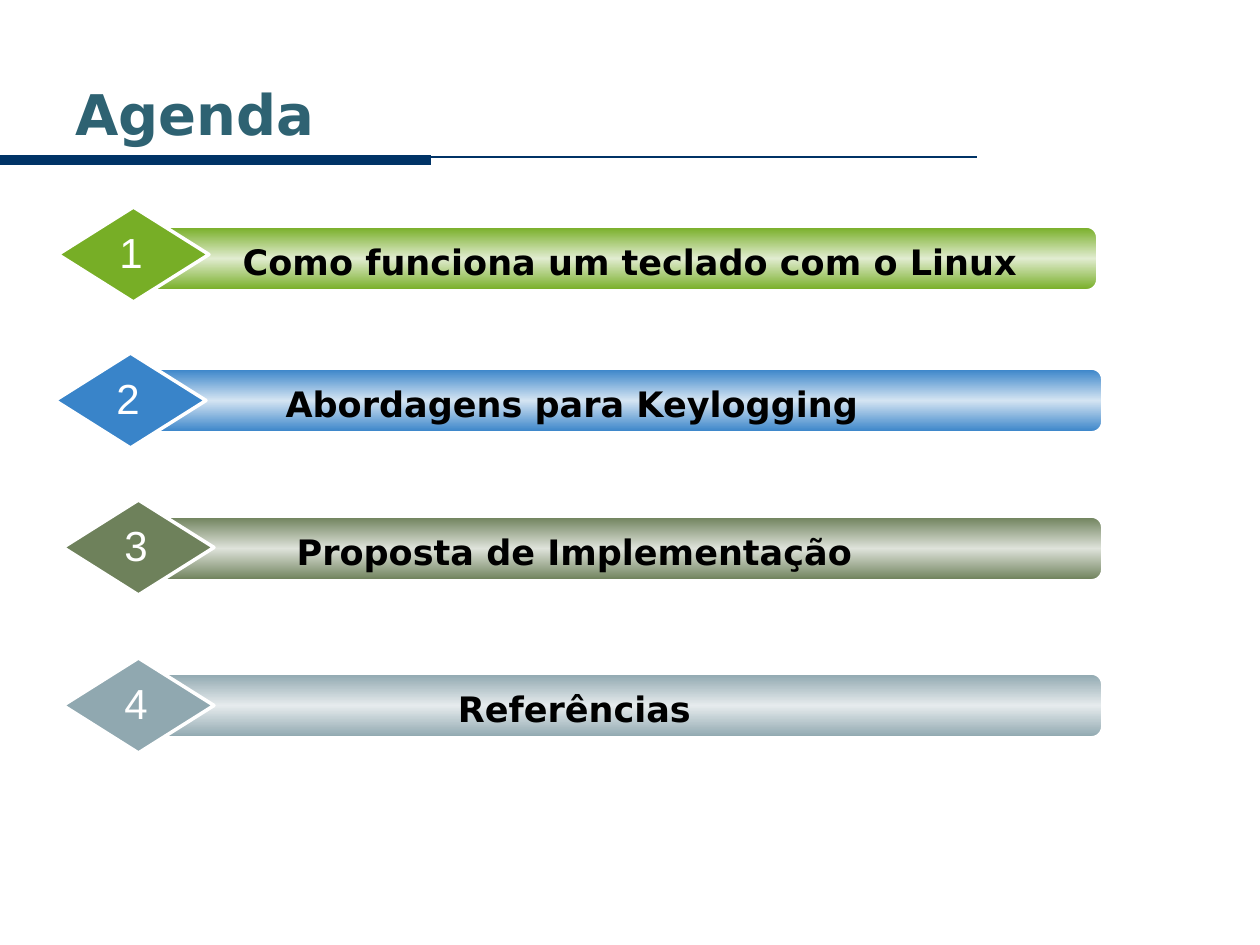
from copy import deepcopy
from pptx import Presentation
from pptx.dml.color import RGBColor
from pptx.enum.shapes import MSO_CONNECTOR, MSO_SHAPE
from pptx.enum.text import MSO_ANCHOR, PP_ALIGN
from pptx.oxml.ns import qn
from pptx.util import Pt
from lxml.etree import SubElement

SCALE = 914400 / 126
COLORS = {"title": "2E6272", "rule": "003366", "white": "FFFFFF", "black": "000000"}
TITLE = "Agenda"
RULES = [(977, 157, 0, 1.5), (0, 160, 431, 6)]
ITEMS = [
    {"text": "Como funciona um teclado com o Linux", "color": "77AE26", "light": "E1ECD0",
     "diamond": (58, 207), "bar": (227, 1097), "label": (189, 882)},
    {"text": "Abordagens para Keylogging", "color": "3984C9", "light": "D4E4F2",
     "diamond": (55, 353), "bar": (369, 1102), "label": (192, 760)},
    {"text": "Proposta de Implementação", "color": "6E815B", "light": "DFE3DB",
     "diamond": (63, 500), "bar": (517, 1102), "label": (197, 755)},
    {"text": "Referências", "color": "90A8B0", "light": "E6EBED",
     "diamond": (63, 658), "bar": (674, 1102), "label": (197, 755)},
]


def px(*values):
    return [round(v * SCALE) for v in values]


def rgb(value):
    return RGBColor.from_string(value)


def write(sp, text, size, color, font="DejaVu Sans", bold=False,
          align=PP_ALIGN.CENTER, anchor=MSO_ANCHOR.TOP, wrap=True):
    tf = sp.text_frame
    tf.word_wrap = wrap
    tf.vertical_anchor = anchor
    p = tf.paragraphs[0]
    p.alignment = align
    r = p.add_run()
    r.text = text
    r.font.name, r.font.size, r.font.bold = font, Pt(size), bold
    r.font.color.rgb = rgb(color)


def add_rule(shapes, x1, y, x2, width):
    line = shapes.add_connector(MSO_CONNECTOR.STRAIGHT, *px(x1, y, x2, y))
    line.line.color.rgb = rgb(COLORS["rule"])
    line.line.width = Pt(width)
    SubElement(line._element.spPr, qn("a:effectLst"))


def add_outlined(shapes, kind, box, width):
    sp = shapes.add_shape(kind, *px(*box))
    sp.shadow.inherit = False
    sp.line.color.rgb = rgb(COLORS["white"])
    sp.line.width = Pt(width)
    return sp


def fill_banded(sp, edge, middle):
    sp.fill.gradient()
    sp.fill.gradient_angle = 90
    first = sp.fill.gradient_stops[0]._gs
    first.addnext(deepcopy(first))
    for stop, position, color in zip(sp.fill.gradient_stops, (0, 0.5, 1), (edge, middle, edge)):
        stop.position = position
        stop.color.rgb = rgb(color)


def add_item(shapes, number, item):
    x, y = item["diamond"]
    bar_y, bar_right = item["bar"]
    label_x, label_w = item["label"]
    bar_x = x + 83
    bar = add_outlined(shapes, MSO_SHAPE.ROUNDED_RECTANGLE,
                       (bar_x, bar_y, bar_right - bar_x, 63), 1)
    bar.adjustments[0] = 0.167
    fill_banded(bar, item["color"], item["light"])
    diamond = add_outlined(shapes, MSO_SHAPE.DIAMOND, (x, y, 151, 95), 2)
    diamond.fill.solid()
    diamond.fill.fore_color.rgb = rgb(item["color"])
    label = shapes.add_textbox(*px(label_x, bar_y + 7, label_w, 55))
    write(label, item["text"], 20, COLORS["black"], bold=True)
    badge = shapes.add_textbox(*px(x + 49, y + 13, 48, 63))
    write(badge, str(number), 24, COLORS["white"], font="Arial", wrap=False)


def main():
    prs = Presentation()
    prs.slide_width, prs.slide_height = px(1260, 945)
    s = prs.slides.add_slide(prs.slide_layouts[5])
    for rule in RULES:
        add_rule(s.shapes, *rule)
    title = s.shapes.title
    title.left, title.top, title.width, title.height = px(63, 68, 1061, 90)
    write(title, TITLE, 32, COLORS["title"], bold=True,
          align=PP_ALIGN.LEFT, anchor=MSO_ANCHOR.MIDDLE)
    for number, item in enumerate(ITEMS, 1):
        add_item(s.shapes.add_group_shape().shapes, number, item)
    prs.save("out.pptx")


if __name__ == "__main__":
    main()
